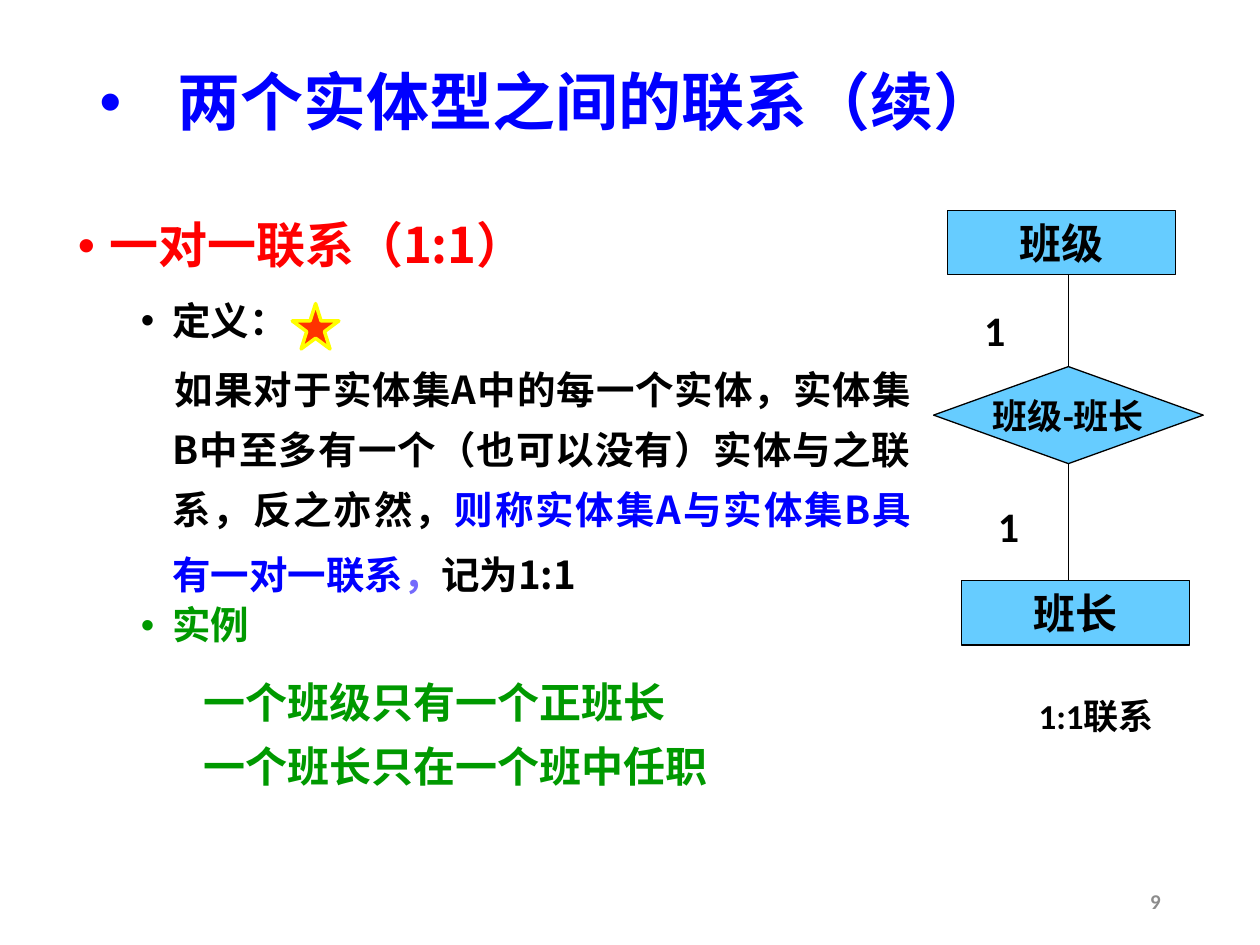
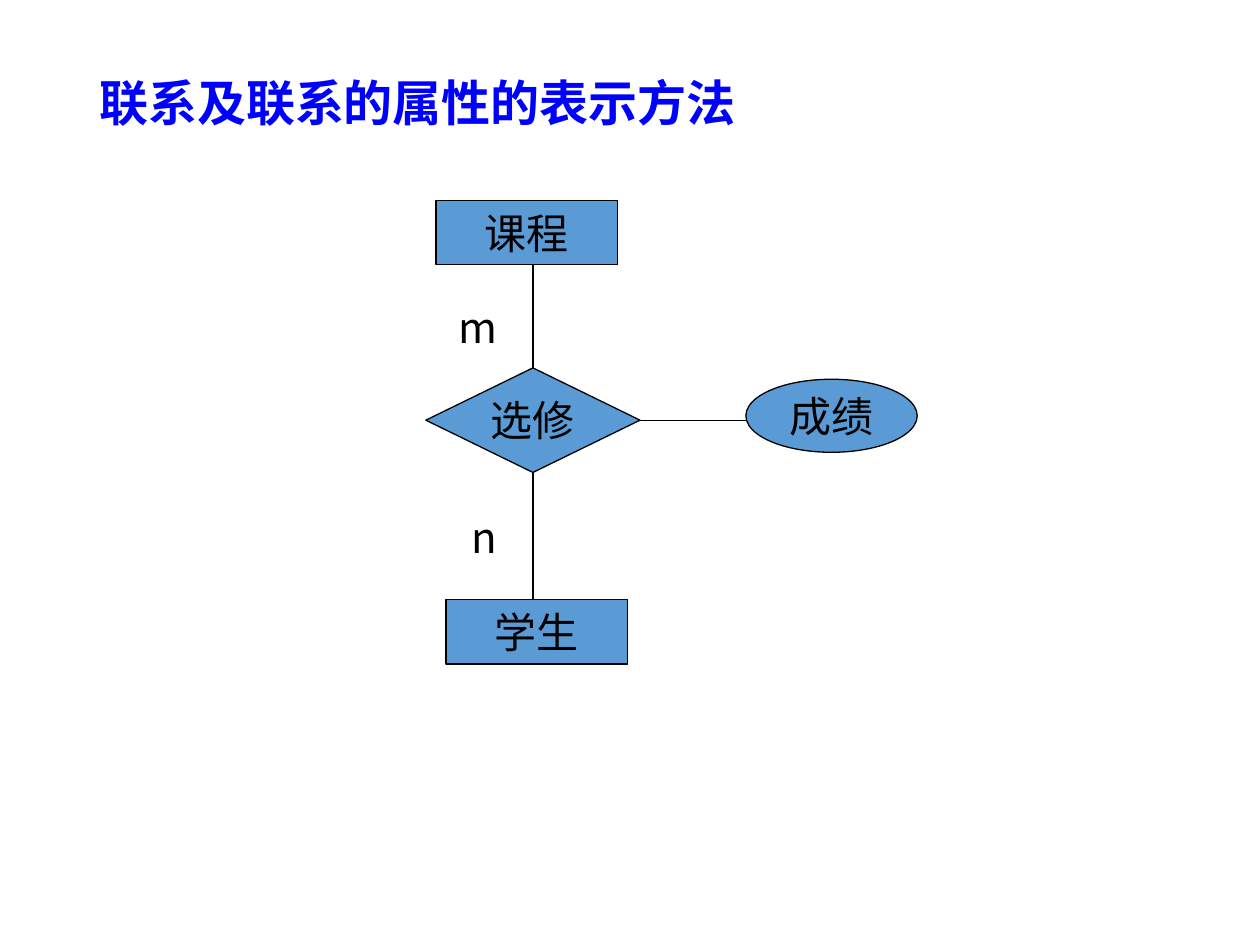
from collections import namedtuple
from lxml.etree import SubElement
from pptx import Presentation
from pptx.dml.color import RGBColor
from pptx.enum.shapes import MSO_CONNECTOR, MSO_SHAPE
from pptx.enum.text import MSO_ANCHOR, PP_ALIGN
from pptx.oxml.ns import qn
from pptx.util import Inches, Pt

# Grid: 100 columns by 75 rows
WIDTH, HEIGHT = Inches(10), Inches(7.5)
COL, ROW = WIDTH // 100, HEIGHT // 75

BLACK = RGBColor(0x00, 0x00, 0x00)
BLUE = RGBColor(0x00, 0x00, 0xFF)
RED = RGBColor(0xFF, 0x00, 0x00)
GREEN = RGBColor(0x00, 0x99, 0x00)
VIOLET = RGBColor(0x74, 0x6A, 0xFC)
GREY = RGBColor(0x8C, 0x8C, 0x8C)
SKY = RGBColor(0x66, 0xCC, 0xFF)
STEEL = RGBColor(0x5B, 0x9B, 0xD5)
STAR_RED = RGBColor(0xFF, 0x33, 0x00)
YELLOW = RGBColor(0xFF, 0xFF, 0x00)

CJK, LATIN = "Noto Sans CJK SC", "Calibri"

Box = namedtuple("Box", "col row cols rows")
Look = namedtuple("Look", "fill font bold")
TITLE_BOX = Box(6.9, 4, 86.2, 8.7)


def within(box, part):
    """Place a part given relative to the corner of a box."""
    return Box(box.col + part[0], box.row + part[1], part[2], part[3])


def emu(box):
    return (round(box.col * COL), round(box.row * ROW),
            round(box.cols * COL), round(box.rows * ROW))


def add_run(p, text, size, color=BLACK, font=CJK, bold=False):
    r = p.add_run()
    r.text = text
    r.font.size, r.font.bold, r.font.name = Pt(size), bold, font
    r.font.color.rgb = color
    SubElement(r.font._element, qn("a:ea")).set("typeface", CJK)


def set_indent(p, margin, first=0, bullet=False):
    pPr = p._p.get_or_add_pPr()
    pPr.set("marL", str(Inches(margin)))
    pPr.set("indent", str(Inches(first)))
    if bullet:
        SubElement(pPr, qn("a:buFont")).set("typeface", "Arial")
        SubElement(pPr, qn("a:buChar")).set("char", "•")


def add_textbox(s, box, anchor=MSO_ANCHOR.MIDDLE):
    tf = s.shapes.add_textbox(*emu(box)).text_frame
    tf.word_wrap, tf.vertical_anchor = True, anchor
    return tf


def add_label(s, box, text, size, align=PP_ALIGN.CENTER, **font):
    p = add_textbox(s, box).paragraphs[0]
    p.alignment = align
    add_run(p, text, size, **font)


def add_node(s, kind, box, fill, line=BLACK, width=0.75):
    sp = s.shapes.add_shape(kind, *emu(box))
    sp.shadow.inherit = False
    sp.fill.solid()
    sp.fill.fore_color.rgb = fill
    sp.line.color.rgb, sp.line.width = line, Pt(width)
    return sp


def add_text_node(s, kind, box, text, size, look):
    sp = add_node(s, kind, box, look.fill)
    tf = sp.text_frame
    tf.word_wrap = kind == MSO_SHAPE.RECTANGLE
    tf.vertical_anchor = MSO_ANCHOR.MIDDLE
    p = tf.paragraphs[0]
    p.alignment = PP_ALIGN.CENTER
    add_run(p, text, size, font=look.font, bold=look.bold)
    return sp


def add_link(s, node, site, end_x, end_y):
    """Line from a connection site of a node to a point."""
    ln = s.shapes.add_connector(MSO_CONNECTOR.STRAIGHT, node.left, node.top, end_x, end_y)
    ln.begin_connect(node, site)
    ln.line.color.rgb, ln.line.width = BLACK, Pt(0.75)
    SubElement(ln._element.spPr, qn("a:effectLst"))


def add_title(s, text, size, bullet=False):
    p = add_textbox(s, TITLE_BOX).paragraphs[0]
    if bullet:
        set_indent(p, 0.62, -0.62, True)
    p.line_spacing = 0.9
    add_run(p, text, size, BLUE, bold=True)


def relation_chain(s, box, look, upper, relation, lower, marks):
    """Entity, relation diamond and entity in a column, with cardinalities."""
    top, bottom = (add_text_node(s, MSO_SHAPE.RECTANGLE, within(box, part), text, 24, look)
                   for text, part in (upper, lower))
    text, part, size = relation
    diamond = add_text_node(s, MSO_SHAPE.DIAMOND, within(box, part), text, size, look)
    middle = diamond.left + diamond.width // 2
    add_link(s, diamond, 0, middle, top.top + top.height)
    add_link(s, diamond, 2, middle, bottom.top)
    for text, part in marks:
        add_label(s, within(box, part), text, 24, font=look.font, bold=look.bold)
    return diamond


def definition_text(s, box):
    tf = add_textbox(s, box, MSO_ANCHOR.TOP)
    # margin, first indent, bullet, line spacing, space before, runs
    rows = [
        (0.25, -0.25, True, 0.9, 0, [("一对一联系（1:1）", 28, RED)]),
        (0.75, -0.25, True, 1.3, 5, [("定义：", 22, BLACK)]),
        (0.75, 0.02, False, 1.3, 5, [
            ("如果对于实体集A中的每一个实体，实体集B中至多有一个（也可以没有）"
             "实体与之联系，反之亦然，", 22, BLACK),
            ("则称实体集A与实体集B具有一对一联系", 22, BLUE),
            ("，", 22, VIOLET), ("记为1:1", 22, BLACK), (" ", 24, BLACK)]),
        (0.75, -0.25, True, 0.9, 5, [("实例", 22, GREEN)]),
        (1, 0, False, 1.4, 5, [("一个班级只有一个正班长", 24, GREEN)]),
        (1, 0, False, 1.1, 5, [("一个班长只在一个班中任职", 24, GREEN)]),
    ]
    for i, (margin, first, bullet, spacing, before, runs) in enumerate(rows):
        p = tf.add_paragraph() if i else tf.paragraphs[0]
        set_indent(p, margin, first, bullet)
        p.alignment = PP_ALIGN.JUSTIFY
        p.line_spacing, p.space_before = spacing, Pt(before)
        for text, size, color in runs:
            add_run(p, text, size, color, bold=True)
    # Star beside the definition heading
    add_node(s, MSO_SHAPE.STAR_5_POINT, within(box, (18, 7, 3.7, 3.6)), STAR_RED, YELLOW, 2)


def class_monitor_diagram(s, box):
    look = Look(SKY, LATIN, True)
    relation_chain(
        s, box, look,
        ("班级", (1.1, 0, 18.1, 5.1)),
        ("班级-班长", (0, 12.4, 21.4, 7.7), 20),
        ("班长", (2.2, 29.4, 18.1, 5.1)),
        [("1", (2.2, 7, 5.3, 5)), ("1", (3.3, 22.5, 5.3, 5))])
    add_label(s, within(box, (3.3, 37.9, 19.2, 4.3)), "1:1联系", 20,
              font=look.font, bold=look.bold)


def course_student_diagram(s, box):
    look = Look(STEEL, CJK, False)
    diamond = relation_chain(
        s, box, look,
        ("课程", (0.8, 0, 14.4, 5.1)),
        ("选修", (0, 13.3, 17, 8.3), 24),
        ("学生", (1.6, 31.7, 14.4, 5.1)),
        [("m", (1.6, 7.5, 4.2, 5)), ("n", (2.5, 24.2, 4.2, 5))])
    # Attribute of the relation
    grade = add_text_node(s, MSO_SHAPE.OVAL, within(box, (25.4, 14.2, 13.6, 5.8)),
                          "成绩", 24, look)
    add_link(s, diamond, 3, grade.left, diamond.top + diamond.height // 2)


def one_to_one_slide(s):
    add_title(s, "两个实体型之间的联系（续）", 36, bullet=True)
    definition_text(s, Box(5.2, 17.1, 68.1, 53.4))
    class_monitor_diagram(s, Box(74.1, 16.7, 22.5, 42.2))
    # Page number
    add_label(s, Box(70.6, 69.5, 22.5, 4), "9", 12, PP_ALIGN.RIGHT,
              color=GREY, font=LATIN, bold=True)


def attribute_slide(s):
    add_title(s, "联系及联系的属性的表示方法", 28)
    course_student_diagram(s, Box(33.8, 15.9, 39, 36.8))


def main():
    prs = Presentation()
    prs.slide_width, prs.slide_height = WIDTH, HEIGHT
    for build in (one_to_one_slide, attribute_slide):
        build(prs.slides.add_slide(prs.slide_layouts[6]))
    prs.save("out.pptx")


if __name__ == "__main__":
    main()
